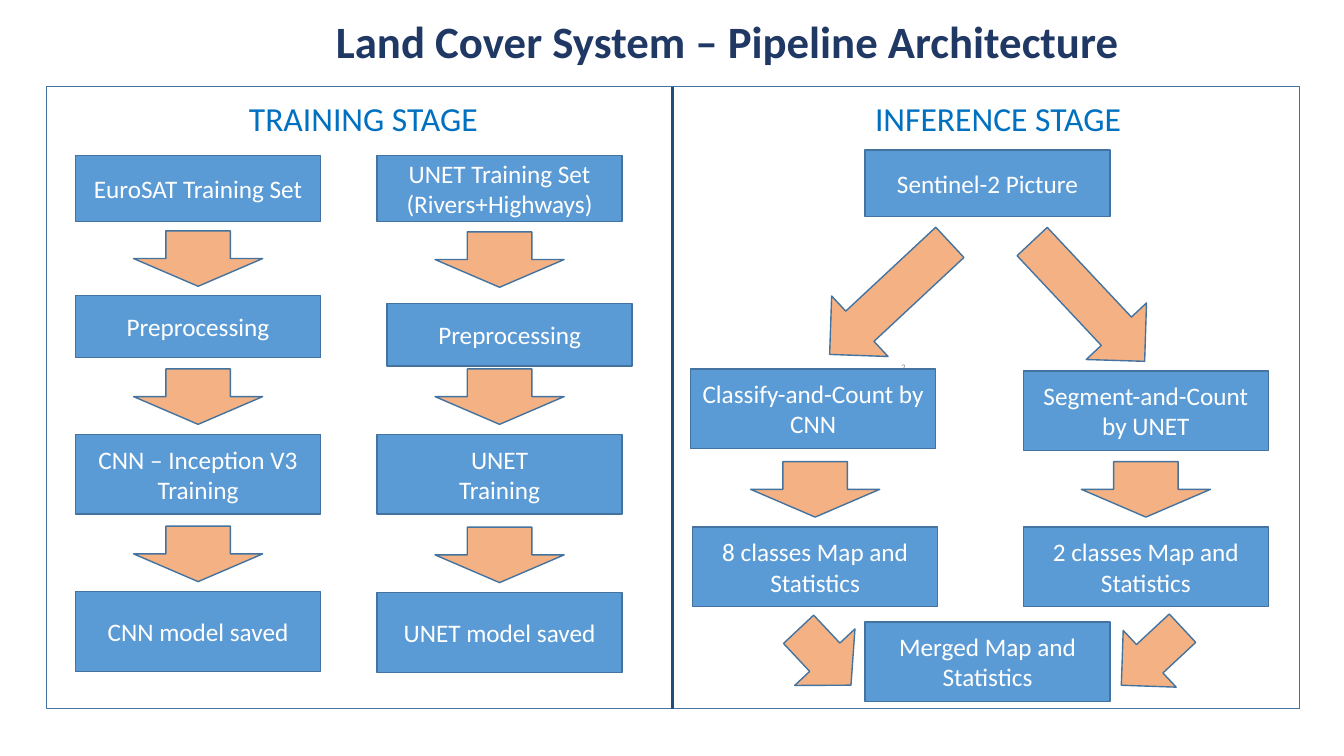
from typing import NamedTuple

from pptx import Presentation
from pptx.dml.color import RGBColor
from pptx.enum import shapes, text
from pptx.oxml import parse_xml
from pptx.oxml.ns import nsdecls
from pptx.util import Inches, Pt

WHITE = RGBColor(0xFF, 0xFF, 0xFF)
NAVY = RGBColor(0x20, 0x38, 0x64)
HEADING_BLUE = RGBColor(0x00, 0x70, 0xC0)
STEP_BLUE = RGBColor(0x5B, 0x9B, 0xD5)
OUTLINE_BLUE = RGBColor(0x43, 0x73, 0x9E)
DIVIDER_BLUE = RGBColor(0x1F, 0x4E, 0x79)
ARROW_ORANGE = RGBColor(0xF4, 0xB1, 0x83)
NUMBER_GREY = RGBColor(0x88, 0x88, 0x88)

FONT = "Calibri"
STEP_WIDTH = 2.43
DOWN_WIDTH, DOWN_HEIGHT = 1.28, 0.55
FRAME_TOP, FRAME_HEIGHT = 0.86, 6.17
DIVIDER_X = 6.67
CNN_X, UNET_X = 0.75, 3.74
CLASSES_X, SHARED_X, SEGMENT_X = 6.87, 8.58, 10.15
DOWNWARD, LEFTWARD = shapes.MSO_SHAPE.DOWN_ARROW, shapes.MSO_SHAPE.LEFT_ARROW


class Label(NamedTuple):
    wording: str
    left: float
    top: float
    width: float
    height: float
    size: float
    color: RGBColor
    bold: bool = False
    centered: bool = False
    inset: bool = True


class Step(NamedTuple):
    wording: str
    left: float
    top: float
    height: float = 0.79


class DownArrows(NamedTuple):
    column: float
    tops: tuple[float, ...]


class SlantedArrow(NamedTuple):
    left: float
    top: float
    width: float
    height: float
    rotation: float


PAGE_NUMBER = Label("2", 8.94, 3.57, 1.17, 0.15, 6, NUMBER_GREY, inset=False)
LABELS = [
    Label("Land Cover System – Pipeline Architecture", 1.12, 0.09, 12.19, 0.64,
          32, NAVY, bold=True, centered=True),
    Label("TRAINING STAGE", 2.37, 0.92, 3.62, 0.5, 24, HEADING_BLUE),
    Label("INFERENCE STAGE", 8.58, 0.92, 3.62, 0.5, 24, HEADING_BLUE),
]
STEPS = [
    # Training: CNN, then UNET
    Step("EuroSAT Training Set", CNN_X, 1.54, 0.66),
    Step("Preprocessing", CNN_X, 2.93, 0.62),
    Step("CNN – Inception V3\nTraining", CNN_X, 4.31),
    Step("CNN model saved", CNN_X, 5.87),
    Step("UNET Training Set (Rivers+Highways)", UNET_X, 1.54, 0.66),
    Step("Preprocessing", UNET_X + 0.1, 3.01, 0.62),
    Step("UNET\nTraining", UNET_X, 4.31),
    Step("UNET model saved", UNET_X, 5.88),
    # Inference
    Step("Sentinel-2 Picture", SHARED_X, 1.49, 0.66),
    Step("Classify-and-Count by CNN", 6.85, 3.66),
    Step("Segment-and-Count by UNET", SEGMENT_X, 3.68),
    Step("8 classes Map and Statistics", CLASSES_X, 5.23),
    Step("2 classes Map and Statistics", SEGMENT_X, 5.23),
    Step("Merged Map and Statistics", SHARED_X, 6.17),
]
DOWN_ARROWS = [
    DownArrows(CNN_X, (2.29, 3.66, 5.22)),
    DownArrows(UNET_X, (2.3, 3.66, 5.23)),
    DownArrows(CLASSES_X, (4.58,)),
    DownArrows(SEGMENT_X, (4.58,)),
]
SLANTED_ARROWS = [
    SlantedArrow(8.01, 2.55, 1.63, 0.82, 317),
    SlantedArrow(9.98, 2.58, 1.63, 0.82, 226.8),
    SlantedArrow(7.8, 6.11, 0.76, 0.82, 226.8),
    SlantedArrow(11.01, 6.13, 0.83, 0.77, 317),
]

presentation = Presentation()
presentation.slide_width, presentation.slide_height = Inches(13.33), Inches(7.5)
slide = presentation.slides.add_slide(presentation.slide_layouts[6])


def write(frame, wording: str, size: float, color: RGBColor,
          bold: bool = False, centered: bool = False) -> None:
    frame.word_wrap = True
    frame.text = wording
    for paragraph in frame.paragraphs:
        paragraph.alignment = text.PP_ALIGN.CENTER if centered else text.PP_ALIGN.LEFT
        paragraph.font.name = FONT
        paragraph.font.size = Pt(size)
        paragraph.font.bold = bold
        paragraph.font.color.rgb = color


def add_label(label: Label) -> None:
    box = slide.shapes.add_textbox(Inches(label.left), Inches(label.top),
                                   Inches(label.width), Inches(label.height))
    frame = box.text_frame
    write(frame, label.wording, label.size, label.color, label.bold, label.centered)
    if not label.inset:
        frame.margin_left = frame.margin_right = Inches(0)
        frame.margin_top = frame.margin_bottom = Inches(0)
        frame.vertical_anchor = text.MSO_ANCHOR.MIDDLE


def add_outlined(kind: shapes.MSO_SHAPE, left: float, top: float, width: float,
                 height: float, fill: RGBColor | None = None):
    shape = slide.shapes.add_shape(kind, Inches(left), Inches(top),
                                   Inches(width), Inches(height))
    shape.shadow.inherit = False
    shape.line.color.rgb = OUTLINE_BLUE
    shape.line.width = Pt(1)
    if fill is None:
        shape.fill.background()
    else:
        shape.fill.solid()
        shape.fill.fore_color.rgb = fill
    return shape


def add_step(step: Step) -> None:
    box = add_outlined(shapes.MSO_SHAPE.RECTANGLE, step.left, step.top,
                       STEP_WIDTH, step.height, STEP_BLUE)
    box.text_frame.vertical_anchor = text.MSO_ANCHOR.MIDDLE
    write(box.text_frame, step.wording, 18, WHITE, centered=True)


def add_down_arrows(arrows: DownArrows) -> None:
    left = arrows.column + (STEP_WIDTH - DOWN_WIDTH) / 2
    for top in arrows.tops:
        add_outlined(DOWNWARD, left, top, DOWN_WIDTH, DOWN_HEIGHT, ARROW_ORANGE)


def add_slanted_arrow(arrow: SlantedArrow) -> None:
    shape = add_outlined(LEFTWARD, arrow.left, arrow.top, arrow.width,
                         arrow.height, ARROW_ORANGE)
    shape.rotation = arrow.rotation


# Page number sits behind the flow
add_label(PAGE_NUMBER)

# Frame and divider between the two stages
add_outlined(shapes.MSO_SHAPE.RECTANGLE, 0.46, FRAME_TOP, 12.43, FRAME_HEIGHT)
divider = slide.shapes.add_connector(
    shapes.MSO_CONNECTOR.STRAIGHT, Inches(DIVIDER_X), Inches(FRAME_TOP),
    Inches(DIVIDER_X), Inches(FRAME_TOP + FRAME_HEIGHT))
divider.line.color.rgb = DIVIDER_BLUE
divider.line.width = Pt(1.5)
divider._element.spPr.append(parse_xml(f"<a:effectLst {nsdecls('a')}/>"))

# Title, stage headings and the flow
for label in LABELS:
    add_label(label)
for step in STEPS:
    add_step(step)
for arrows in DOWN_ARROWS:
    add_down_arrows(arrows)
for arrow in SLANTED_ARROWS:
    add_slanted_arrow(arrow)

presentation.save("out.pptx")
